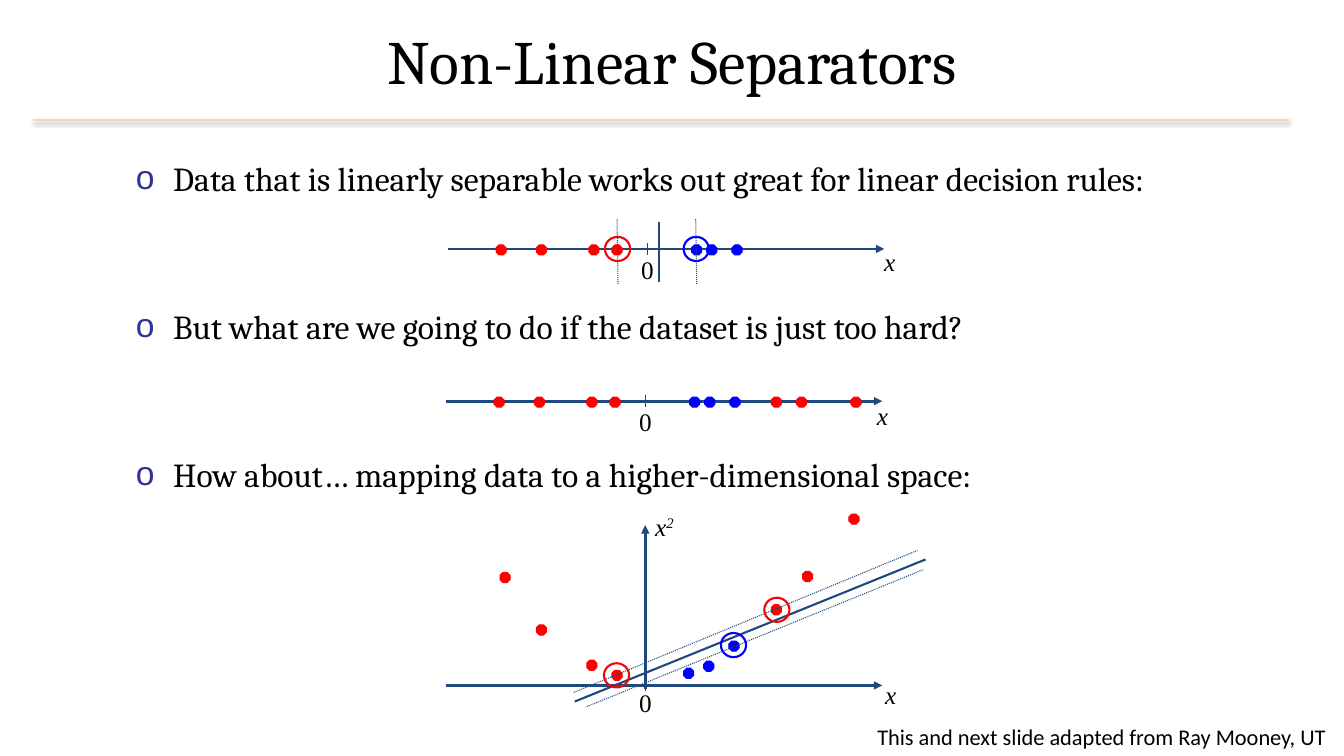
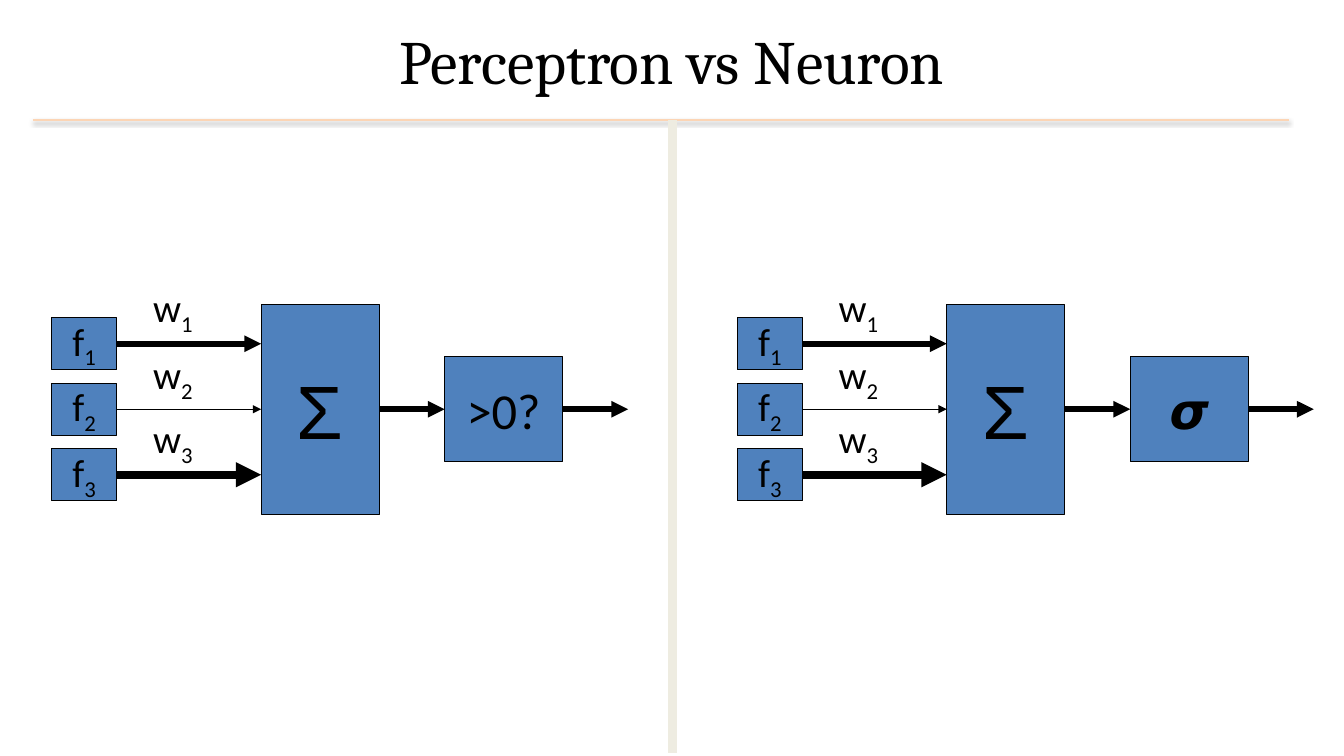
from lxml.etree import SubElement
from pptx import Presentation
from pptx.dml.color import RGBColor
from pptx.enum.dml import MSO_LINE
from pptx.enum.shapes import MSO_CONNECTOR, MSO_SHAPE
from pptx.enum.text import MSO_ANCHOR, PP_ALIGN
from pptx.oxml.ns import qn
from pptx.util import Emu, Pt

BLACK = RGBColor(0x00, 0x00, 0x00)
RED = RGBColor(0xFF, 0x00, 0x00)
BLUE = RGBColor(0x00, 0x00, 0xFF)
NAVY = RGBColor(0x1F, 0x49, 0x7D)
STEEL = RGBColor(0x4F, 0x81, 0xBD)
PEACH = RGBColor(0xFC, 0xD5, 0xB5)
CREAM = RGBColor(0xEE, 0xEC, 0xE1)
BULLET_COLOR = RGBColor(0x33, 0x33, 0x99)

SERIF, SANS, SYMBOL, MATH = "Cambria", "Calibri", "Arial", "Times New Roman"
WIDTH, HEIGHT = 1333, 750


def px(length):
    """Turn px into EMU, at 100 px to the inch."""
    return Emu(length * 9144)


class Deck:
    def __init__(self):
        self.deck = Presentation()
        self.deck.slide_width, self.deck.slide_height = px(WIDTH), px(HEIGHT)
        self.page = None

    def new_page(self, title):
        self.page = self.deck.slides.add_slide(self.deck.slide_layouts[6])
        self.line(33, 119, 1278, 119, PEACH, 1, shadow=True)
        self.text(title, 0, -3, WIDTH, 125, 44, SERIF,
                  align=PP_ALIGN.CENTER, anchor=MSO_ANCHOR.MIDDLE)

    def line(self, x1, y1, x2, y2, color, weight, arrow=False, dotted=False, shadow=False):
        line = self.page.shapes.add_connector(
            MSO_CONNECTOR.STRAIGHT, px(x1), px(y1), px(x2), px(y2))
        line.line.color.rgb = color
        line.line.width = Pt(weight)
        if dotted:
            line.line.dash_style = MSO_LINE.ROUND_DOT
        properties = line._element.spPr
        if arrow:
            SubElement(properties.find(qn("a:ln")), qn("a:tailEnd"), type="triangle")
        effects = SubElement(properties, qn("a:effectLst"))
        if shadow:
            outer = SubElement(effects, qn("a:outerShdw"), blurRad="40000",
                               dist="20000", dir="5400000", rotWithShape="0")
            tint = SubElement(outer, qn("a:srgbClr"), val=str(BLACK))
            SubElement(tint, qn("a:alpha"), val="38000")

    def shape(self, kind, left, top, width, height, fill, outline, weight=0.75):
        shape = self.page.shapes.add_shape(kind, px(left), px(top), px(width), px(height))
        shape.shadow.inherit = False
        if fill is None:
            shape.fill.background()
        else:
            shape.fill.solid()
            shape.fill.fore_color.rgb = fill
        shape.line.color.rgb = outline
        shape.line.width = Pt(weight)
        return shape

    def fill_para(self, para, text, size, font, script="", baseline=0, italic=False):
        """Fill a paragraph; script is raised or lowered by baseline percent."""
        para.font.size, para.font.name = Pt(size), font
        para.font.color.rgb = BLACK
        para.font.italic = italic
        para.add_run().text = text
        if script:
            span = para.add_run()
            span.text = script
            span._r.get_or_add_rPr().set("baseline", str(baseline * 1000))

    def text(self, text, left, top, width, height, size, font,
             align=PP_ALIGN.LEFT, anchor=MSO_ANCHOR.TOP, **style):
        box = self.page.shapes.add_textbox(px(left), px(top), px(width), px(height))
        box.text_frame.word_wrap = True
        box.text_frame.vertical_anchor = anchor
        para = box.text_frame.paragraphs[0]
        para.alignment = align
        self.fill_para(para, text, size, font, **style)

    def bullets(self, items, left, top, width, height, line_height, gap):
        box = self.page.shapes.add_textbox(px(left), px(top), px(width), px(height))
        frame = box.text_frame
        frame.word_wrap = True
        for index, item in enumerate(items):
            para = frame.add_paragraph() if index else frame.paragraphs[0]
            para.line_spacing, para.space_after = Pt(line_height), Pt(gap)
            properties = para._p.get_or_add_pPr()
            properties.set("marL", str(px(37)))
            properties.set("indent", str(px(-37)))
            color = SubElement(properties, qn("a:buClr"))
            SubElement(color, qn("a:srgbClr"), val=str(BULLET_COLOR))
            SubElement(properties, qn("a:buFont"), typeface=SYMBOL)
            SubElement(properties, qn("a:buChar"), char="o")
            self.fill_para(para, item, 24, SERIF)

    def node(self, text, left, top, width, height, size, font=SANS, **style):
        node = self.shape(MSO_SHAPE.RECTANGLE, left, top, width, height, STEEL, BLACK)
        node.text_frame.word_wrap = False
        node.text_frame.vertical_anchor = MSO_ANCHOR.MIDDLE
        para = node.text_frame.paragraphs[0]
        para.alignment = PP_ALIGN.CENTER
        self.fill_para(para, text, size, font, **style)

    def dots(self, centers, color):
        for x, y in centers:
            self.shape(MSO_SHAPE.OCTAGON, x - 5, y - 5, 10, 10, color, color)

    def ring(self, x, y, color):
        self.shape(MSO_SHAPE.OVAL, x - 12, y - 12, 25, 24, None, color, 1.5)

    def axis_label(self, text, left, top, width=50, **style):
        self.text(text, left, top, width, 40, 18, MATH, **style)

    def number_line(self, zero, y, label_left, label_top, zero_top):
        self.line(zero - 198, y, zero + 235, y, NAVY, 2, arrow=True)
        self.line(zero, y - 6, zero, y + 6, NAVY, 0.75)
        self.axis_label("0", zero - 16, zero_top, 37)
        self.axis_label("x", label_left, label_top, italic=True)

    def network(self, left, activation):
        """Draw three weighted inputs, their sum and an activation."""
        middle = 406
        self.node("Σ", left + 208, 302, 117, 208, 54, SYMBOL)
        inputs = [(4, 276), (1, 343), (6, 406)]
        for index, (weight, label_top) in enumerate(inputs):
            number = str(index + 1)
            y = middle + 65 * (index - 1)
            self.line(left + 65, y, left + 208, y, BLACK, weight, arrow=True)
            self.node("f", left, y - 26, 65, 52, 28, script=number, baseline=-25)
            self.text("w", left + 91, label_top, 91, 68, 28, SANS,
                      script=number, baseline=-25)
        self.node(activation, left + 390, middle - 52, 117, 104, 36)
        for start in (325, 507):
            self.line(left + start, middle, left + start + 65, middle, BLACK, 4, arrow=True)


def build_separators(deck):
    deck.new_page("Non-Linear Separators")
    deck.bullets(
        ["Data that is linearly separable works out great for linear decision rules:",
         "But what are we going to do if the dataset is just too hard?",
         "How about… mapping data to a higher-dimensional space:"],
        125, 150, 1167, 475, line_height=30, gap=75.7)

    near_red, near_blue, far_red = (-145, -105, -53, -30), (49, 64, 89), (130, 155, 209)

    zero, y = 642, 247
    deck.number_line(zero, y, 867, 239, y)
    deck.dots([(zero + x, y + 1) for x in near_red], RED)
    deck.dots([(zero + x, y + 1) for x in near_blue], BLUE)
    deck.line(654, 220, 654, 280, NAVY, 1.5)
    for x, color in ((690, BLUE), (612, RED)):
        deck.ring(x, y, color)
        deck.line(x + 1, 282, x, 217, NAVY, 0.75, dotted=True)

    zero, y = 640, 398
    deck.number_line(zero, y, 860, 392, y)
    deck.dots([(zero + x, y + 1) for x in near_red + far_red], RED)
    deck.dots([(zero + x, y + 1) for x in near_blue], BLUE)

    deck.number_line(zero, 680, 868, 669, 677)
    deck.line(zero, 684, zero, 521, NAVY, 2, arrow=True)
    deck.axis_label("x", zero, 502, italic=True, script="2", baseline=30)
    deck.dots([(501, 573), (537, 625), (587, 660), (612, 670),
               (770, 605), (801, 572), (847, 515)], RED)
    deck.dots([(683, 668), (703, 661), (728, 641)], BLUE)
    deck.line(570, 696, 918, 555, NAVY, 1.5)
    deck.line(569, 687, 910, 546, NAVY, 0.75, dotted=True)
    deck.line(582, 701, 916, 565, NAVY, 0.75, dotted=True)
    for x, y, color in ((770, 605, RED), (727, 640, BLUE), (611, 670, RED)):
        deck.ring(x, y, color)

    deck.text("This and next slide adapted from Ray Mooney, UT",
              750, 713, 575, 36, 16, SANS, align=PP_ALIGN.RIGHT)


def build_perceptron(deck):
    deck.new_page("Perceptron vs Neuron")
    deck.network(51, ">0?")
    deck.network(731, "𝞼")
    deck.line(667, 119, 667, 747, CREAM, 6)


def main():
    deck = Deck()
    build_separators(deck)
    build_perceptron(deck)
    deck.deck.save("out.pptx")


if __name__ == "__main__":
    main()
